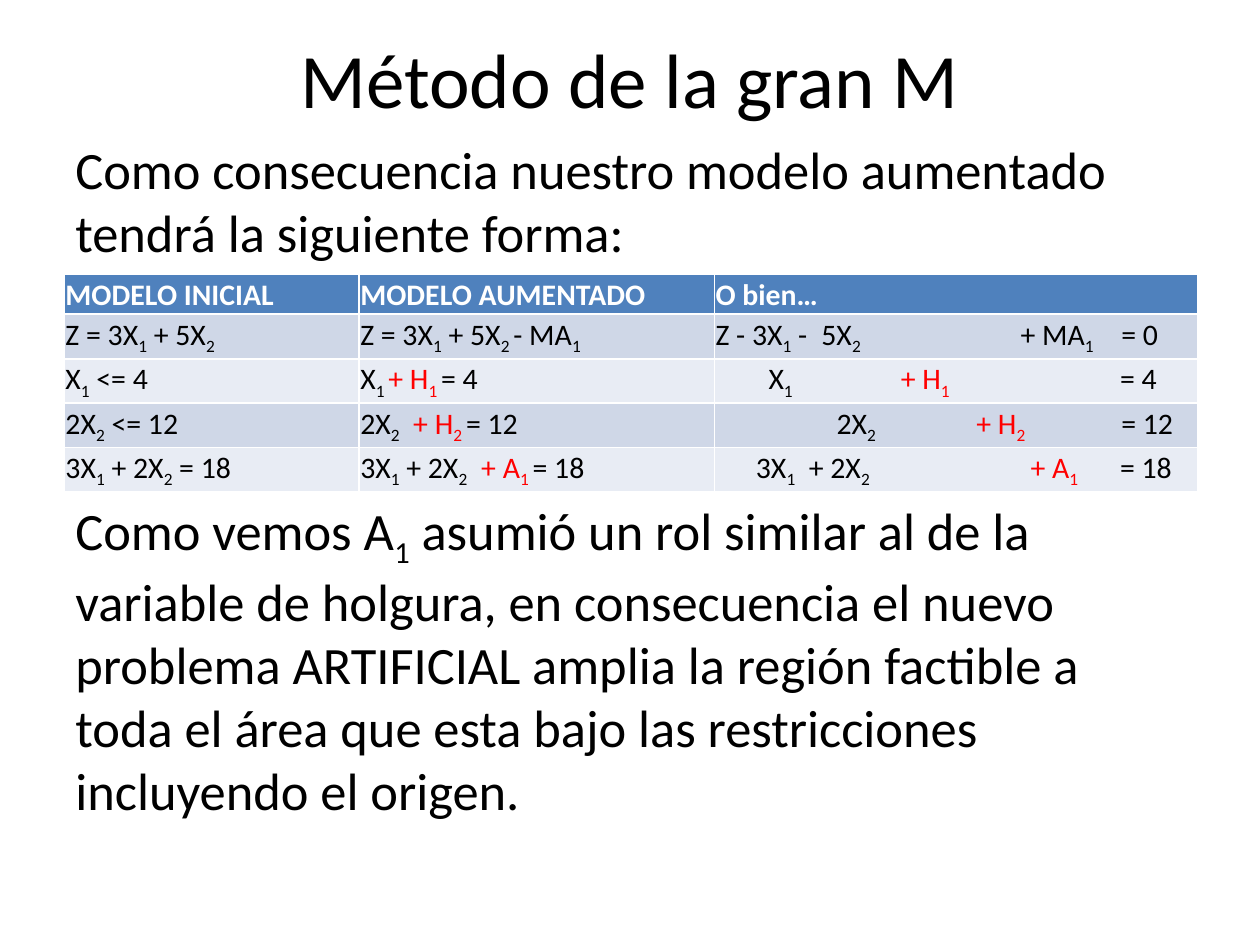
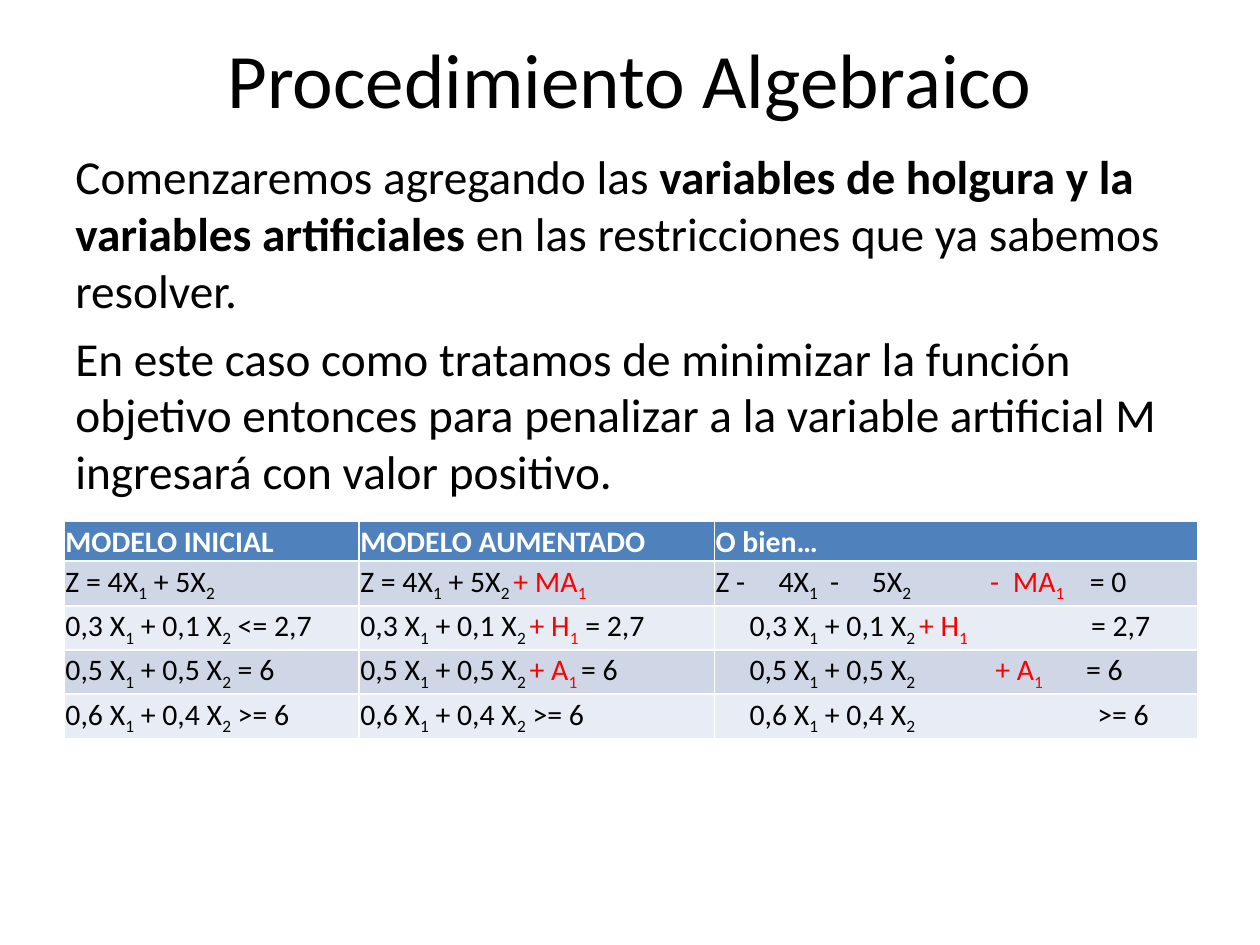
from itertools import groupby
from lxml.etree import SubElement
from pptx import Presentation
from pptx.dml.color import RGBColor
from pptx.enum.text import MSO_ANCHOR, PP_ALIGN
from pptx.oxml.ns import qn
from pptx.util import Inches, Pt

# Markup: _x lowers x, [text] is red, *text* is bold.
HEADS = ["MODELO INICIAL", "MODELO AUMENTADO", "O bien…"]
SLIDES = [
    {
        "title": "Método de la gran M",
        "body": [
            "Como consecuencia nuestro modelo aumentado tendrá la siguiente forma:",
            "Como vemos A_1 asumió un rol similar al de la variable de holgura, "
            "en consecuencia el nuevo problema ARTIFICIAL amplia la región factible "
            "a toda el área que esta bajo las restricciones incluyendo el origen.",
        ],
        "size": 30, "gap": 134, "top": 0.99, "height": 6.06, "grid": 2.18,
        "rows": [
            [("Z = 3X_1 + 5X_2", []),
             ("Z = 3X_1 + 5X_2_ - MA_1", []),
             ("Z - 3X_1 -\t5X_2\t+ MA_1\t= 0", [0.84, 2.42, 3.22])],
            [("X_1 <= 4", []),
             ("X_1_ [+ H_1_ ]= 4", []),
             ("\tX_1\t[+ H_1]\t= 4", [0.42, 1.47, 3.21])],
            [("2X_2 <= 12", []),
             ("2X_2\t[+ H_2_ ]= 12", [0.42]),
             ("\t2X_2\t[+ H_2]\t= 12", [0.96, 2.07, 3.22])],
            [("3X_1 + 2X_2 = 18", []),
             ("3X_1 + 2X_2\t[+ A_1_ ]= 18", [0.96]),
             ("\t3X_1\t+ 2X_2\t[+ A_1]\t= 18", [0.32, 0.74, 2.5, 3.21])],
        ],
    },
    {
        "title": "Procedimiento Algebraico",
        "body": [
            "Comenzaremos agregando las *variables de holgura y la variables "
            "artificiales *en las restricciones que ya sabemos resolver.",
            "En este caso como tratamos de minimizar la función objetivo entonces "
            "para penalizar a la variable artificial M ingresará con valor positivo.",
        ],
        "size": 27, "gap": 6.4, "top": 1.07, "height": 2.91, "grid": 4.14,
        "rows": [
            [("Z = 4X_1 + 5X_2", []),
             ("Z = 4X_1 + 5X_2_ [+ MA_1]", []),
             ("Z -\t4X_1\t-\t5X_2\t[-\tMA_1]\t= 0",
              [0.5, 0.91, 1.24, 2.18, 2.36, 2.97])],
            [("0,3 X_1 + 0,1 X_2 <= 2,7", []),
             ("0,3 X_1 + 0,1 X_2_ [+ H_1] = 2,7", []),
             ("\t0,3 X_1 + 0,1 X_2_ [+ H_1]\t= 2,7", [0.27, 2.98])],
            [("0,5 X_1 + 0,5 X_2 = 6", []),
             ("0,5 X_1 + 0,5 X_2_ [+ A_1_ ]= 6", []),
             ("\t0,5 X_1 + 0,5 X_2\t[+ A_1]\t= 6", [0.27, 2.22, 2.94])],
            [("0,6 X_1 + 0,4 X_2 >= 6", []),
             ("0,6 X_1 + 0,4 X_2 >= 6", []),
             ("\t0,6 X_1 + 0,4 X_2\t>= 6", [0.27, 3.03])],
        ],
    },
]
FONT = "Calibri"
BLACK, WHITE, RED = "000000", "FFFFFF", "FF0000"
HEAD, BANDS = "4F81BD", ["CFD7E7", "E8ECF4"]
LEFT, WIDTH = 0.5, 9
COLS = [2.34, 2.82, 3.84]
HEIGHTS = [0.31, 0.36, 0.35, 0.35, 0.35]


def color(code):
    return RGBColor.from_string(code)


def parse(text):
    red = bold = low = False
    for char in text:
        if char == "_":
            low = True
        elif char in "[]":
            red = char == "["
        elif char == "*":
            bold = not bold
        else:
            yield char, (red, bold, low)
            low = False


def write(para, text, size, ink=BLACK, strong=False):
    for style, group in groupby(parse(text), key=lambda pair: pair[1]):
        red, bold, low = style
        run = para.add_run()
        run.text = "".join(char for char, _ in group)
        font = run.font
        font.name, font.size = FONT, Pt(size)
        font.bold = strong or bold
        font.color.rgb = color(RED if red else ink)
        if low:
            run._r.get_or_add_rPr().set("baseline", "-25000")


def add_box(slide, top, height):
    box = slide.shapes.add_textbox(
        Inches(LEFT), Inches(top), Inches(WIDTH), Inches(height))
    frame = box.text_frame
    frame.word_wrap = True
    frame.margin_left = frame.margin_right = Inches(0.1)
    frame.margin_top = frame.margin_bottom = Inches(0.1)
    return frame


def add_tabs(para, stops):
    tabs = SubElement(para._p.get_or_add_pPr(), qn("a:tabLst"))
    for stop in stops:
        SubElement(tabs, qn("a:tab"), pos=str(Inches(stop)), algn="l")


def add_edges(cell, row):
    thick = {"lnB": 0, "lnT": 1}
    for side in ("lnL", "lnR", "lnT", "lnB"):
        points = 1.5 if thick.get(side) == row else 1
        line = SubElement(cell._tc.get_or_add_tcPr(), qn("a:" + side),
                          w=str(Pt(points)))
        fill = SubElement(line, qn("a:solidFill"))
        SubElement(fill, qn("a:srgbClr"), val=WHITE)


def add_grid(slide, top, rows):
    cells = [[(head, []) for head in HEADS]] + rows
    table = slide.shapes.add_table(
        len(cells), len(COLS), Inches(LEFT + 0.01), Inches(top),
        Inches(WIDTH), Inches(sum(HEIGHTS))).table
    for col, width in zip(table.columns, COLS):
        col.width = Inches(width)
    for r, (line, height) in enumerate(zip(cells, HEIGHTS)):
        table.rows[r].height = Inches(height)
        for c, (text, stops) in enumerate(line):
            cell = table.cell(r, c)
            cell.margin_left = cell.margin_right = Inches(0.01)
            cell.margin_top, cell.margin_bottom = Inches(0.01), 0
            cell.vertical_anchor = MSO_ANCHOR.MIDDLE
            add_edges(cell, r)
            cell.fill.solid()
            cell.fill.fore_color.rgb = color(BANDS[(r - 1) % 2] if r else HEAD)
            para = cell.text_frame.paragraphs[0]
            if stops:
                add_tabs(para, stops)
            write(para, text, 17, BLACK if r else WHITE, r == 0)


def add_page(deck, page):
    slide = deck.slides.add_slide(deck.slide_layouts[6])
    title = add_box(slide, 0, 1.24)
    title.vertical_anchor = MSO_ANCHOR.MIDDLE
    title.paragraphs[0].alignment = PP_ALIGN.CENTER
    write(title.paragraphs[0], page["title"], 44)
    body = add_box(slide, page["top"], page["height"])
    for i, text in enumerate(page["body"]):
        para = body.add_paragraph() if i else body.paragraphs[0]
        if i:
            para.space_before = Pt(page["gap"])
        write(para, text, page["size"])
    add_grid(slide, page["grid"], page["rows"])


def main():
    deck = Presentation()
    deck.slide_width, deck.slide_height = Inches(10), Inches(7.5)
    for page in SLIDES:
        add_page(deck, page)
    deck.save("out.pptx")


if __name__ == "__main__":
    main()
